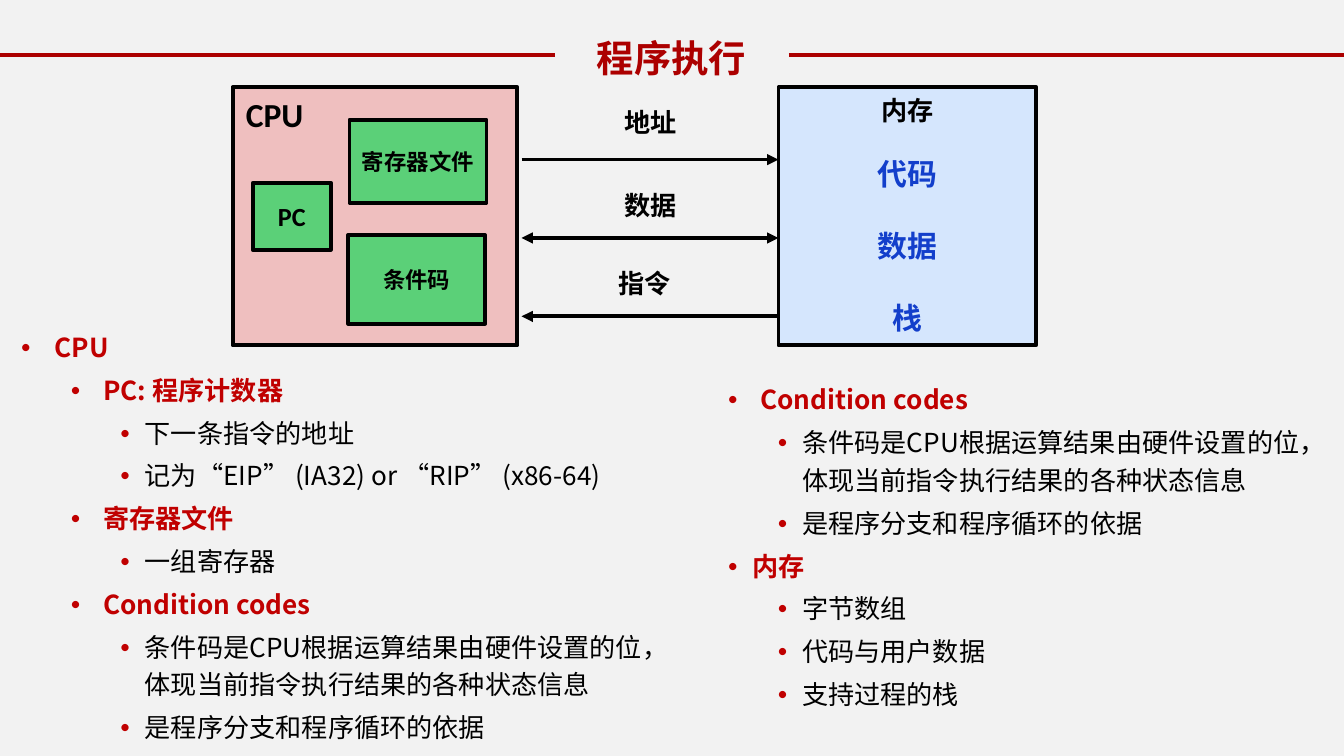
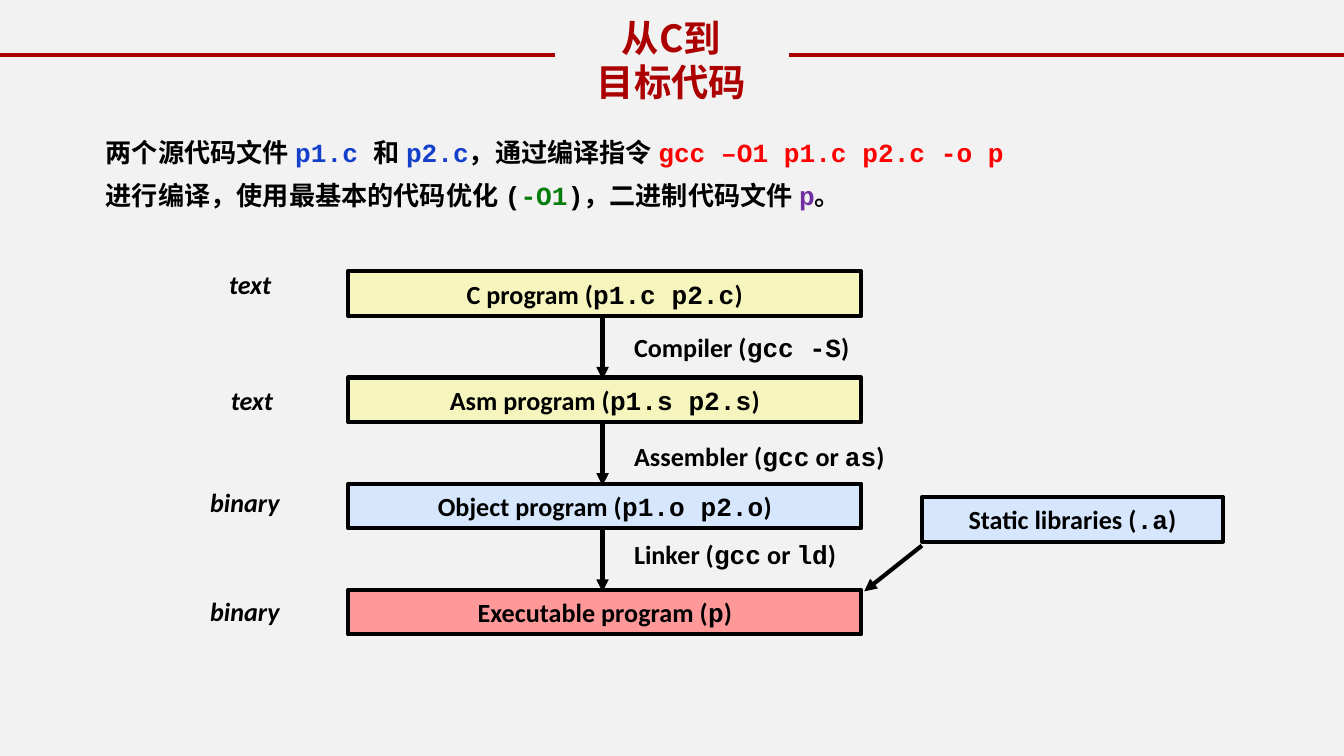
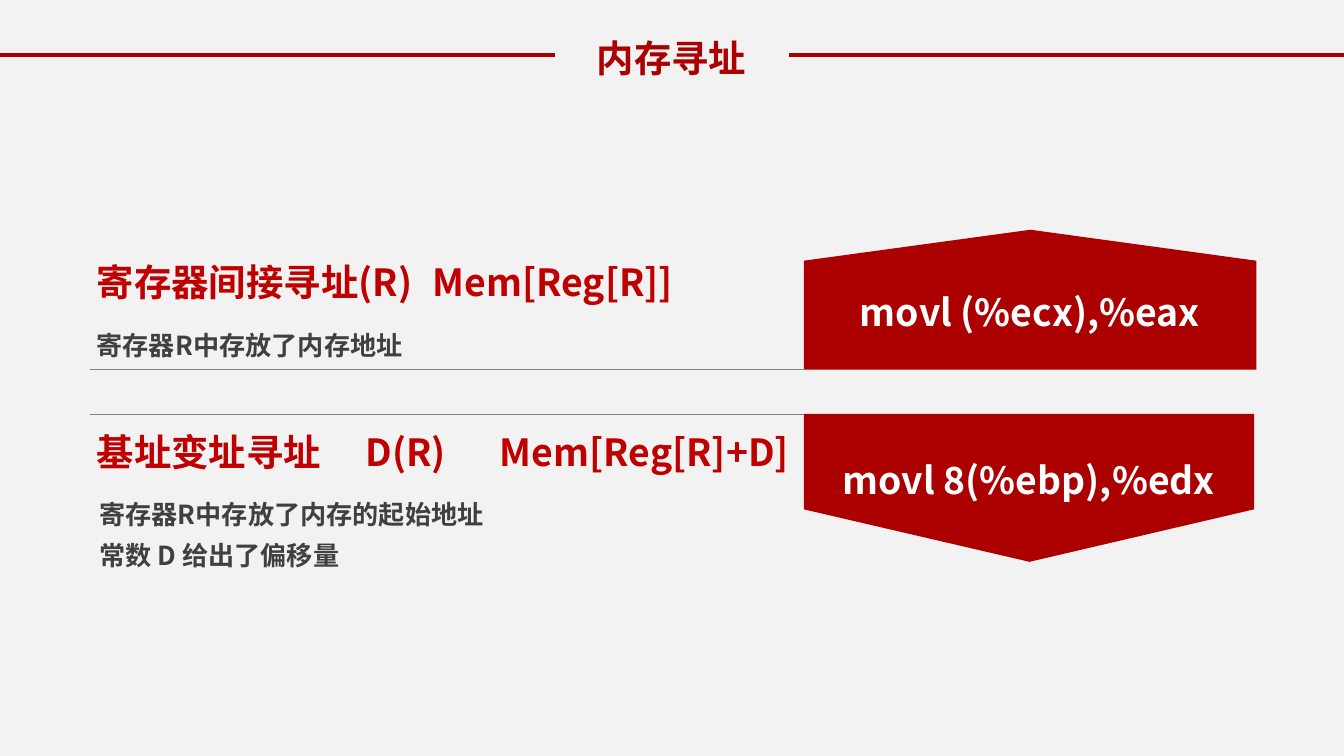
"""Build three slides on machine-level programs: CPU, build chain and addressing."""
from dataclasses import dataclass, replace
from itertools import cycle
from typing import Optional

from lxml.etree import SubElement
from pptx import Presentation
from pptx.dml.color import RGBColor
from pptx.enum.shapes import MSO_CONNECTOR, MSO_SHAPE
from pptx.enum.text import MSO_ANCHOR, MSO_AUTO_SIZE, PP_ALIGN
from pptx.oxml.ns import qn
from pptx.util import Pt

INK = {
    "page": "F2F2F2", "title": "AC0000", "red": "C00000", "black": "000000",
    "white": "FFFFFF", "blue": "133FCB", "alert": "FF0000", "green": "067C0C",
    "purple": "7030A0", "gray": "404040", "rule": "808080", "sky": "D5E6FD",
    "pink": "EFBFBF", "leaf": "5BD078", "cream": "F6F5BD", "coral": "FF9999",
}
SANS, LATIN, CODE = "Noto Sans CJK SC", "Calibri", "Courier New"
LEFT, MID, RIGHT = PP_ALIGN.LEFT, PP_ALIGN.CENTER, PP_ALIGN.RIGHT
INSET = (7.2, 3.6, 7.2, 3.6)
SLIM = (5, 2.9, 5, 2.9)


@dataclass(frozen=True)
class Font:
    """Look of a run."""
    size: float = 14
    ink: str = "black"
    name: str = LATIN
    bold: bool = True
    slant: bool = False


@dataclass(frozen=True)
class Para:
    """Paragraph of (text, font) runs and its layout."""
    runs: tuple
    align: PP_ALIGN = LEFT
    level: int = 0
    left: float = 0
    hang: float = 0
    ratio: object = None
    before: float = 0
    dot: bool = False
    tabs: tuple = ()


@dataclass(frozen=True)
class Box:
    """Rectangle of text, with or without a fill and outline."""
    left: float
    top: float
    width: float
    height: float
    paras: tuple
    fill: Optional[str] = None
    line: float = 2
    anchor: MSO_ANCHOR = MSO_ANCHOR.TOP
    wrap: bool = True
    inset: tuple = INSET


@dataclass(frozen=True)
class Link:
    """Straight line with optional arrowheads."""
    start: tuple
    end: tuple
    ink: str = "black"
    width: float = 2
    head: bool = False
    tail: bool = False


BASE = Font()
BODY = Font(name=SANS)
HEAD = Font(ink="red", name=SANS)
PLAIN = Font(name=SANS, bold=False)


def shade(name: str) -> RGBColor:
    """Return the named colour."""
    return RGBColor.from_string(INK[name])


def style(run, font: Font) -> None:
    """Give a run its font."""
    face = run.font
    face.size, face.bold, face.italic = Pt(font.size), font.bold, font.slant
    face.color.rgb = shade(font.ink)
    face.name = font.name
    SubElement(run._r.get_or_add_rPr(), qn("a:ea"), typeface=SANS)


def layout(item, para: Para) -> None:
    """Set spacing, indents, bullet and tab stops of a paragraph."""
    item.alignment, item.level = para.align, para.level
    if para.ratio:
        item.line_spacing = para.ratio
    item.space_before = Pt(para.before)
    props = item._p.get_or_add_pPr()
    props.set("marL", str(Pt(para.left)))
    props.set("indent", str(Pt(-para.hang)))
    if para.dot:
        tint = SubElement(props, qn("a:buClr"))
        SubElement(tint, qn("a:srgbClr"), val=INK["red"])
        SubElement(props, qn("a:buSzPct"), val="60000")
        SubElement(props, qn("a:buFont"), typeface=LATIN)
        SubElement(props, qn("a:buChar"), char="●")
    else:
        SubElement(props, qn("a:buNone"))
    if para.tabs:
        stops = SubElement(props, qn("a:tabLst"))
        for stop in para.tabs:
            SubElement(stops, qn("a:tab"), pos=str(Pt(stop)), algn="l")


def write(frame, box: Box) -> None:
    """Fill a text frame from a box."""
    frame.auto_size = MSO_AUTO_SIZE.NONE
    frame.word_wrap, frame.vertical_anchor = box.wrap, box.anchor
    (frame.margin_left, frame.margin_top,
     frame.margin_right, frame.margin_bottom) = map(Pt, box.inset)
    for spot, para in enumerate(box.paras):
        item = frame.add_paragraph() if spot else frame.paragraphs[0]
        layout(item, para)
        for text, font in para.runs:
            run = item.add_run()
            run.text = text
            style(run, font)


def place(slide, box: Box) -> None:
    """Draw a box as a text box or a filled rectangle."""
    area = [Pt(n) for n in (box.left, box.top, box.width, box.height)]
    if box.fill:
        shape = slide.shapes.add_shape(MSO_SHAPE.RECTANGLE, *area)
        shape.shadow.inherit = False
        shape.fill.solid()
        shape.fill.fore_color.rgb = shade(box.fill)
        shape.line.color.rgb = shade("black")
        shape.line.width = Pt(box.line)
    else:
        shape = slide.shapes.add_textbox(*area)
    write(shape.text_frame, box)


def join(slide, link: Link) -> None:
    """Draw a line or an arrow."""
    ends = [Pt(n) for n in (*link.start, *link.end)]
    wire = slide.shapes.add_connector(MSO_CONNECTOR.STRAIGHT, *ends)
    wire.line.color.rgb = shade(link.ink)
    wire.line.width = Pt(link.width)
    for tag, shown in (("a:headEnd", link.head), ("a:tailEnd", link.tail)):
        if shown:
            SubElement(wire.line._get_or_add_ln(), qn(tag), type="triangle")
    SubElement(wire._element.spPr, qn("a:effectLst"))


def badge(slide, points: list, text: str, drop: float) -> None:
    """Draw a red pointed panel holding one instruction."""
    spots = [(Pt(x), Pt(y)) for x, y in points]
    pen = slide.shapes.build_freeform(*spots[0])
    pen.add_line_segments(spots[1:], close=True)
    shape = pen.convert_to_shape()
    shape.shadow.inherit = False
    shape.fill.solid()
    shape.fill.fore_color.rgb = shade("title")
    shape.line.fill.background()
    para = Para(((text, Font(20, "white", SANS)),), MID, ratio=Pt(11.2))
    write(shape.text_frame, Box(0, 0, 0, 0, (para,), inset=(5, drop, 5, 2.9)))


def line(text: str, font: Font = BASE, align: PP_ALIGN = MID) -> tuple:
    """Return a single paragraph of one run."""
    return (Para(((text, font),), align),)


def mixed(parts: tuple, align: PP_ALIGN = MID) -> tuple:
    """Return a paragraph whose parts alternate between prose and code."""
    fonts = cycle((BASE, replace(BASE, name=CODE)))
    return (Para(tuple(zip(parts, fonts)), align),)


def point(text: str, level: int, left: float, hang: float, font: Font) -> Para:
    """Return a bulleted paragraph."""
    return Para(((text, font),), LEFT, level, left, hang, 1.2, 2.8, True, (108, 360))


def start(deck, *names: str):
    """Add a slide with its title between two rules."""
    slide = deck.slides.add_slide(deck.slide_layouts[5])
    join(slide, Link((0, 29.5), (297.4, 29.5), "title"))
    join(slide, Link((422.6, 29.5), (720, 29.5), "title"))
    top = 15 if len(names) == 1 else 4.3
    high = 31.7 if len(names) == 1 else 55.4
    title = slide.shapes.title
    title.left, title.top, title.width, title.height = map(Pt, (297.4, top, 124.8, high))
    font = Font(20, "title", SANS)
    paras = tuple(Para(((name, font),), MID) for name in names)
    write(title.text_frame, Box(0, 0, 0, 0, paras))
    return slide


def run_page(deck) -> None:
    """Show how CPU and memory talk."""
    slide = start(deck, "程序执行")
    codes = ("条件码是CPU根据运算结果由硬件设置的位，体现当前指令执行结果的各种状态信息",
             "是程序分支和程序循环的依据")

    def main(text: str) -> Para:
        return point(text, 1, 43.9, 17.3, HEAD)

    def sub(text: str) -> Para:
        return point(text, 2, 66.2, 13, PLAIN)

    def note(text: str) -> Para:
        return point(text, 1, 40.3, 13, PLAIN)

    place(slide, Box(4.3, 170.6, 364.3, 213.8, (
        point("CPU", 0, 18, 18, HEAD),
        main("PC: 程序计数器"), sub("下一条指令的地址"),
        sub("记为“EIP” (IA32) or “RIP” (x86-64)"),
        main("寄存器文件"), sub("一组寄存器"),
        main("Condition codes"), *map(sub, codes))))
    place(slide, Box(382.3, 198.7, 329, 190.8, (
        point("Condition codes", 0, 18, 17.3, HEAD), *map(note, codes),
        point("内存", 0, 13.7, 13, HEAD),
        *map(note, ("字节数组", "代码与用户数据", "支持过程的栈")))))

    place(slide, Box(417, 46.8, 138.2, 138.2, line("内存"), "sky", wrap=False))
    font = Font(16, "blue")
    parts = tuple(Para(((text, font),), MID, before=gap)
                  for text, gap in (("代码", 0), ("数据", 19.3), ("栈", 19.3)))
    place(slide, Box(417, 80, 138.2, 103.7, parts))

    signals = (("地址", 53.3, 138, False, True), ("数据", 97.9, 138, True, True),
               ("指令", 139.7, 132, True, False))
    for spot, (text, top, width, head, tail) in enumerate(signals):
        row = 85.5 + 42 * spot
        join(slide, Link((279.4, row), (417, row), head=head, tail=tail))
        place(slide, Box(279.4, top, width, 23.8, line(text)))

    place(slide, Box(124.6, 46.8, 152.6, 138.2, line("CPU", Font(18), LEFT), "pink", 2.25))
    for text, size, *area in (("PC", 14, 135.4, 97.9, 41.8, 36),
                              ("寄存器文件", 12, 187.2, 64.1, 73.4, 44.6),
                              ("条件码", 12, 186.5, 126, 73.4, 47.5)):
        place(slide, Box(*area, line(text, Font(size)), "leaf",
                         anchor=MSO_ANCHOR.MIDDLE, wrap=False))


def build_page(deck) -> None:
    """Show the chain from source to executable."""
    slide = start(deck, "从C到", "目标代码")
    left, top, width, high, pitch = 186.5, 145.4, 275, 23.8, 56.9
    stages = (
        (("C program (", "p1.c p2.c", ")"), "cream", "text", 94.9, 140.4),
        (("Asm program (", "p1.s p2.s", ")"), "cream", "text", 95.8, 202.3),
        (("Object program (", "p1.o p2.o", ")"), "sky", "binary", 99.4, 257),
        (("Executable program (", "p", ")"), "coral", "binary", 99.4, 315.4))
    for spot, (parts, fill, kind, side, row) in enumerate(stages):
        place(slide, Box(left, top + pitch * spot, width, high, mixed(parts), fill, 2.25))
        place(slide, Box(side, row, 57.6, high, line(kind, Font(slant=True), RIGHT)))

    tools = ((("Compiler (", "gcc -S", ")"), 174.2, 160),
             (("Assembler (", "gcc", " or ", "as", ")"), 232.6, 240),
             (("Linker (", "gcc", " or ", "ld", ")"), 285.1, 208))
    for spot, (parts, row, wide) in enumerate(tools):
        edge = top + pitch * spot + high
        join(slide, Link((322.8, edge), (322.8, edge + pitch - high + 1), width=2.25, tail=True))
        place(slide, Box(332.6, row, wide, high, mixed(parts, LEFT)))

    place(slide, Box(493.9, 266.4, 161.3, high,
                     mixed(("Static libraries (", ".a", ")")), "sky", 2.25))
    join(slide, Link((493.9, 292.3), (463, 316.8), width=2.25, tail=True))

    rows = (
        (("两个源代码文件 ", "black"), ("p1.c ", "blue"), ("和 ", "black"), ("p2.c", "blue"),
         ("，通过编译指令 ", "black"), ("gcc –O1 p1.c p2.c -o p", "alert")),
        (("进行编译，使用最基本的代码优化 (", "black"), ("-O1", "green"),
         (")，二进制代码文件 ", "black"), ("p", "purple"), ("。", "black")))
    paras = tuple(Para(tuple((text, Font(ink=ink, name=CODE)) for text, ink in row),
                       level=1, left=26.6, ratio=1.2, before=2.8, tabs=(180, 279.4))
                  for row in rows)
    place(slide, Box(23, 66.2, 654.5, 51.1, paras))


def mode_page(deck) -> None:
    """Show two addressing modes with sample instructions."""
    slide = start(deck, "内存寻址")
    badge(slide, [(430.6, 139.7), (552, 123.1), (673, 139.7), (673, 198), (430.6, 198)],
          "movl (%ecx),%eax", 44.6)
    badge(slide, [(430.6, 221.8), (671.8, 221.8), (671.8, 272.9), (551.5, 301), (430.6, 272.9)],
          "movl 8(%ebp),%edx", 36)
    for row in (197.7, 221.8):
        join(slide, Link((430.6, row), (48.2, row), "rule", 0.5))

    font = Font(20, "red", SANS)
    for text, tabs, row, width in (
            ("寄存器间接寻址(R)\tMem[Reg[R]]", (216,), 136.1, 481.7),
            ("基址变址寻址\tD(R)\tMem[Reg[R]+D]", (144.5, 200.4), 226.8, 517)):
        para = Para(((text, font),), tabs=tabs)
        place(slide, Box(46.8, row, width, 29.5, (para,), inset=SLIM))

    font = replace(BODY, ink="gray")
    for left, row, high, texts in (
            (46.8, 168.5, 25.2, ("寄存器R中存放了内存地址",)),
            (48.2, 259.2, 47.5, ("寄存器R中存放了内存的起始地址", "常数 D 给出了偏移量"))):
        paras = tuple(Para(((text, font),), ratio=1.3) for text in texts)
        place(slide, Box(left, row, 352.8, high, paras, inset=SLIM))


def main() -> None:
    """Make the deck and save it."""
    deck = Presentation()
    deck.slide_width, deck.slide_height = Pt(720), Pt(405)
    back = deck.slide_master.background.fill
    back.solid()
    back.fore_color.rgb = shade("page")
    for page in (run_page, build_page, mode_page):
        page(deck)
    deck.save("out.pptx")


if __name__ == "__main__":
    main()
